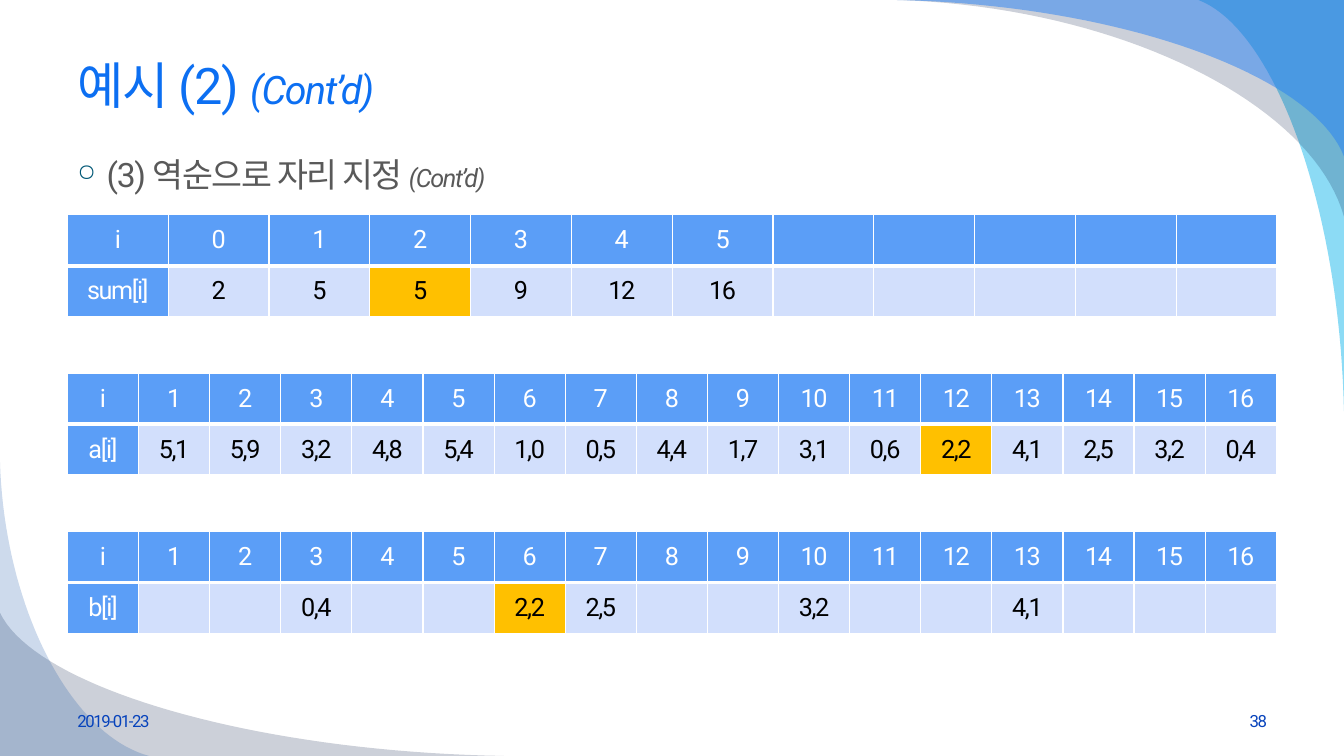
"""Builds the slide that follows three arrays through one step of a counting sort."""
from lxml import etree
from pptx import Presentation
from pptx.dml.color import RGBColor
from pptx.enum import text
from pptx.oxml import ns
from pptx.util import Cm, Pt

FONT = "Roboto"
WHITE = RGBColor(0xFF, 0xFF, 0xFF)
BLACK = RGBColor(0x00, 0x00, 0x00)
TITLE_BLUE = RGBColor(0x0C, 0x6F, 0xF2)
FOOTER_BLUE = RGBColor(0x07, 0x43, 0xBC)
BODY_GREY = RGBColor(0x59, 0x59, 0x59)
BULLET_TEAL = RGBColor(0x00, 0x58, 0x76)
HEADER_BLUE = RGBColor(0x5B, 0x9E, 0xF7)
CELL_BLUE = RGBColor(0xD2, 0xDF, 0xFC)
HIGHLIGHT = RGBColor(0xFF, 0xC0, 0x00)
CYAN = RGBColor(0x00, 0xB1, 0xE9)
NAVY = RGBColor(0x02, 0x17, 0x41)
SKY = RGBColor(0x24, 0x7F, 0xF4)
DEEP_BLUE = RGBColor(0x08, 0x4A, 0xA1)

WIDTH, HEIGHT = 33.87, 19.05
MARGIN, CONTENT_WIDTH = 1.7, 30.48
CURVE_STEPS = 40

SWOOSHES = [
    ((30.2, 0, 3.67, 10.36), 1, 0, CYAN, 45),
    ((22.58, 0, 11.29, 5.46), 1, 0, NAVY, 20),
    ((22.58, 0, 11.29, 3.94), 1, 0, SKY, 49),
    ((0, 15.44, 12.7, 3.61), 0, 1, NAVY, 20),
    ((0, 11.63, 3.76, 7.42), 0, 1, DEEP_BLUE, 20),
]

ARRAYS = [
    ("sum[i]", 0, 11, dict(enumerate(["2", "5", "5", "9", "12", "16"])), 2),
    ("a[i]", 1, 16, dict(enumerate(
        "5,1 5,9 3,2 4,8 5,4 1,0 0,5 4,4 1,7 3,1 0,6 2,2 4,1 2,5 3,2 0,4".split(), 1)), 12),
    ("b[i]", 1, 16, {3: "0,4", 6: "2,2", 7: "2,5", 10: "3,2", 13: "4,1"}, 6),
]
TABLE_TOP, TABLE_PITCH, TABLE_HEIGHT = 5.41, 3.99, 2.57
LAST_SUM_INDEX = 5


def add_child(parent, tag, **attributes):
    """Append a DrawingML element and return it."""
    return etree.SubElement(parent, ns.qn(tag), attributes)


def style_run(run, size, color, italic=False):
    """Give a run the slide's font, its size, colour and tight spacing."""
    run.font.name = FONT
    run.font.size = Pt(size)
    run.font.color.rgb = color
    run.font.italic = italic
    run.font._element.set("spc", "-100")


def curve_fractions(t):
    """Return the position along and across a swoosh at parameter t."""
    s = 1 - t
    first, second, third = 3 * s * s * t, 3 * s * t * t, t ** 3
    return 0.5 * first + 0.93 * second + third, 0.03 * first + 0.48 * second + third


def add_swoosh(slide, box, right, bottom, color, opacity):
    """Fill a corner of the box up to a curve that runs along its longer side."""
    left, top, width, height = box
    corner_x, far_x = left + width * right, left + width * (1 - right)
    corner_y, far_y = top + height * bottom, top + height * (1 - bottom)
    points = [(corner_x, corner_y)]
    for step in range(CURVE_STEPS + 1):
        along, across = curve_fractions(step / CURVE_STEPS)
        if width > height:
            x_part, y_part = along, 1 - across
        else:
            x_part, y_part = 1 - across, along
        points.append((far_x + (corner_x - far_x) * x_part,
                       far_y + (corner_y - far_y) * y_part))
    outline = [(Cm(x), Cm(y)) for x, y in points]
    builder = slide.shapes.build_freeform(*outline[0])
    builder.add_line_segments(outline[1:], close=True)
    shape = builder.convert_to_shape()
    shape.shadow.inherit = False
    shape.line.fill.background()
    shape.fill.solid()
    shape.fill.fore_color.rgb = color
    color_element = shape._element.spPr.find(".//" + ns.qn("a:srgbClr"))
    add_child(color_element, "a:alpha", val=str(opacity * 1000))


def add_text(slide, box, runs, color, anchor=text.MSO_ANCHOR.MIDDLE,
             align=text.PP_ALIGN.LEFT):
    """Place one paragraph of (wording, size, italic) runs and return it."""
    frame = slide.shapes.add_textbox(*map(Cm, box)).text_frame
    frame.word_wrap = True
    frame.vertical_anchor = anchor
    paragraph = frame.paragraphs[0]
    paragraph.alignment = align
    for wording, size, italic in runs:
        run = paragraph.add_run()
        run.text = wording
        style_run(run, size, color, italic)
    return paragraph


def add_body(slide, box):
    """Place the bulleted line above the tables."""
    paragraph = add_text(slide, box, [("(3) 역순으로 자리 지정 ", 24, False), ("(Cont’d)", 18, True)],
                         BODY_GREY, text.MSO_ANCHOR.TOP)
    properties = paragraph._p.get_or_add_pPr()
    properties.set("marL", str(Cm(0.74)))
    properties.set("indent", str(-Cm(0.74)))
    add_child(add_child(properties, "a:buClr"), "a:srgbClr", val=str(BULLET_TEAL))
    add_child(properties, "a:buSzPct", val="70000")
    add_child(properties, "a:buChar", char="○")


def add_footer(slide, box):
    """Place the date at the left and the slide number at the right of the box."""
    left, top, width, height = box
    part = 7.9
    add_text(slide, (left, top, part, height), [("2019-01-23", 12, False)], FOOTER_BLUE)
    add_text(slide, (left + width - part, top, part, height), [("38", 12, False)],
             FOOTER_BLUE, align=text.PP_ALIGN.RIGHT)


def style_cell(cell, wording, fill, color, thick_side):
    """Write a cell, fill it and draw white borders, one of them thick."""
    cell.text = wording
    cell.vertical_anchor = text.MSO_ANCHOR.MIDDLE
    paragraph = cell.text_frame.paragraphs[0]
    paragraph.alignment = text.PP_ALIGN.CENTER
    for run in paragraph.runs:
        style_run(run, 18, color)
    properties = cell._tc.get_or_add_tcPr()
    for side in ("a:lnL", "a:lnR", "a:lnT", "a:lnB"):
        weight = Pt(3 if side == thick_side else 1)
        line = add_child(properties, side, w=str(weight))
        add_child(add_child(line, "a:solidFill"), "a:srgbClr", val=str(WHITE))
    cell.fill.solid()
    cell.fill.fore_color.rgb = fill


def add_array_table(slide, box, name, first, count, values, highlighted):
    """Place a table with the indices above and the array's values below."""
    table = slide.shapes.add_table(2, count + 1, *map(Cm, box)).table
    for column in table.columns:
        column.width = Cm(box[2] / (count + 1))
    style_cell(table.cell(0, 0), "i", HEADER_BLUE, WHITE, "a:lnB")
    style_cell(table.cell(1, 0), name, HEADER_BLUE, WHITE, "a:lnT")
    for column, index in enumerate(range(first, first + count), 1):
        shown = first == 1 or index <= LAST_SUM_INDEX
        style_cell(table.cell(0, column), str(index) if shown else "",
                   HEADER_BLUE, WHITE, "a:lnB")
        style_cell(table.cell(1, column), values.get(index, ""),
                   HIGHLIGHT if index == highlighted else CELL_BLUE, BLACK, "a:lnT")


def main():
    """Build and save the presentation."""
    presentation = Presentation()
    presentation.slide_width, presentation.slide_height = Cm(WIDTH), Cm(HEIGHT)
    slide = presentation.slides.add_slide(presentation.slide_layouts[6])
    for swoosh in SWOOSHES:
        add_swoosh(slide, *swoosh)
    add_text(slide, (MARGIN, 0.84, CONTENT_WIDTH, 2.57),
             [("예시 (2) ", 36, False), ("(Cont’d)", 28, True)], TITLE_BLUE)
    add_body(slide, (MARGIN, 3.76, CONTENT_WIDTH, 13.26))
    add_footer(slide, (MARGIN, 17.65, CONTENT_WIDTH, 1.02))
    for position, array in enumerate(ARRAYS):
        top = TABLE_TOP + position * TABLE_PITCH
        add_array_table(slide, (MARGIN, top, CONTENT_WIDTH, TABLE_HEIGHT), *array)
    presentation.save("out.pptx")


if __name__ == "__main__":
    main()
